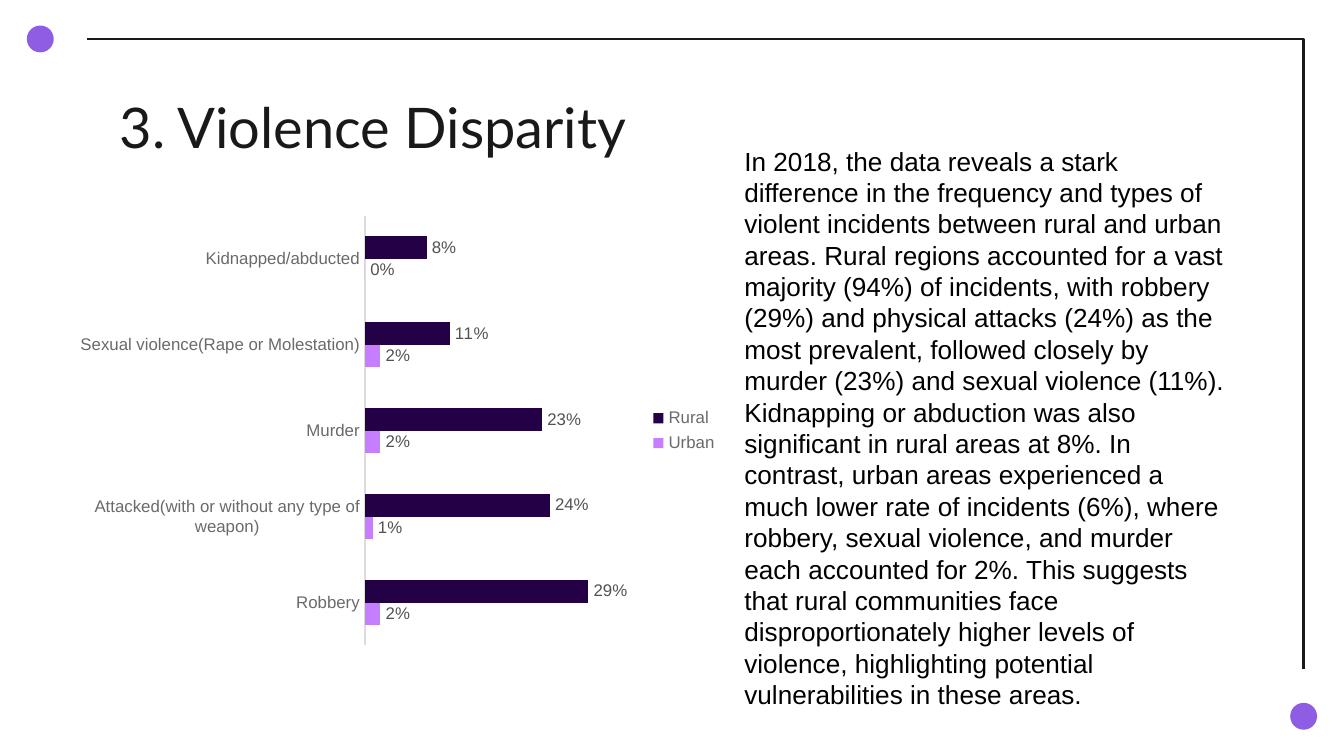
from pptx import Presentation
from pptx.chart.data import CategoryChartData
from pptx.dml.color import RGBColor
from pptx.enum.chart import XL_CHART_TYPE, XL_LABEL_POSITION, XL_LEGEND_POSITION, XL_TICK_LABEL_POSITION, XL_TICK_MARK
from pptx.enum.shapes import MSO_SHAPE
from pptx.enum.text import MSO_ANCHOR, PP_ALIGN
from pptx.util import Inches, Pt

BAR = XL_CHART_TYPE.BAR_CLUSTERED
OUTSIDE_END = XL_LABEL_POSITION.OUTSIDE_END
LEGEND_RIGHT = XL_LEGEND_POSITION.RIGHT
NEXT_TO_AXIS = XL_TICK_LABEL_POSITION.NEXT_TO_AXIS
NO_TICK = XL_TICK_MARK.NONE
OVAL = MSO_SHAPE.OVAL
TOP = MSO_ANCHOR.TOP
LEFT = PP_ALIGN.LEFT

COLORS = {
    "ink": "191919", "dot": "8F5DE4", "body": "000000", "axis": "DCDCDC",
    "axis_text": "6A6A6A", "label": "525252", "Urban": "C77DFF", "Rural": "240046",
}
CATEGORIES = ["Robbery", "Attacked(with or without any type of weapon)", "Murder",
              "Sexual violence(Rape or Molestation)", "Kidnapped/abducted"]
SHARES = {
    "Urban": [0.02, 0.01, 0.02, 0.02, 0],
    "Rural": [0.29, 0.24, 0.23, 0.11, 0.08],
}
BODY = (
    "In 2018, the data reveals a stark difference in the frequency and types of violent "
    "incidents between rural and urban areas. Rural regions accounted for a vast majority "
    "(94%) of incidents, with robbery (29%) and physical attacks (24%) as the most prevalent, "
    "followed closely by murder (23%) and sexual violence (11%). Kidnapping or abduction was "
    "also significant in rural areas at 8%. In contrast, urban areas experienced a much lower "
    "rate of incidents (6%), where robbery, sexual violence, and murder each accounted for 2%. "
    "This suggests that rural communities face disproportionately higher levels of violence, "
    "highlighting potential vulnerabilities in these areas."
)


def rgb(name):
    return RGBColor.from_string(COLORS[name])


def style_font(font, size, color, name="Arial"):
    font.size = Pt(size)
    font.name = name
    font.bold = False
    font.color.rgb = rgb(color)


def add_frame(s, x, y, w, h):
    """Corner rule along the top and right, with a dot beyond each end."""
    right, bottom = x + w, y + h
    path = s.shapes.build_freeform(Inches(x), Inches(y))
    path.add_line_segments([(Inches(right), Inches(y)), (Inches(right), Inches(bottom))],
                           close=False)
    rule = path.convert_to_shape()
    rule.shadow.inherit = False
    rule.fill.background()
    rule.line.color.rgb = rgb("ink")
    rule.line.width = Pt(1.5)
    size = 0.2
    for cx, cy in ((x - 0.35, y), (right, bottom + 0.35)):
        dot = s.shapes.add_shape(OVAL, Inches(cx - size / 2), Inches(cy - size / 2),
                                 Inches(size), Inches(size))
        dot.shadow.inherit = False
        dot.fill.solid()
        dot.fill.fore_color.rgb = rgb("dot")
        dot.line.fill.background()


def set_title(s, x, y, w, h, text):
    sp = s.shapes.title
    sp.left, sp.top, sp.width, sp.height = map(Inches, (x, y, w, h))
    tf = sp.text_frame
    tf.vertical_anchor = TOP
    tf.margin_left = tf.margin_right = tf.margin_top = tf.margin_bottom = Inches(0.1)
    p = tf.paragraphs[0]
    p.alignment = LEFT
    r = p.add_run()
    r.text = text
    style_font(r.font, 30, "ink", "Lato")


def add_share_chart(s, x, y, w, h):
    data = CategoryChartData(number_format="0%")
    data.categories = CATEGORIES
    for name, values in SHARES.items():
        data.add_series(name, values)
    chart = s.shapes.add_chart(BAR, Inches(x), Inches(y), Inches(w), Inches(h), data).chart
    style_font(chart.font, 10, "ink")
    chart.has_title = False
    chart.has_legend = True
    chart.legend.position = LEGEND_RIGHT
    chart.legend.include_in_layout = False
    style_font(chart.legend.font, 9, "axis_text")

    axis = chart.category_axis
    axis.major_tick_mark = axis.minor_tick_mark = NO_TICK
    axis.tick_label_position = NEXT_TO_AXIS
    axis.format.line.color.rgb = rgb("axis")
    axis.format.line.width = Pt(0.75)
    style_font(axis.tick_labels.font, 9, "axis_text")
    value_axis = chart.value_axis
    value_axis.visible = False
    value_axis.has_major_gridlines = False
    value_axis.major_tick_mark = value_axis.minor_tick_mark = NO_TICK
    value_axis.minimum_scale, value_axis.maximum_scale = 0, 0.35

    plot = chart.plots[0]
    plot.gap_width = 182
    plot.overlap = 0
    plot.vary_by_categories = False
    for series in plot.series:
        series.format.fill.solid()
        series.format.fill.fore_color.rgb = rgb(series.name)
        labels = series.data_labels
        labels.show_value = True
        labels.position = OUTSIDE_END
        labels.number_format = "0%"
        labels.number_format_is_linked = False
        style_font(labels.font, 9, "label")


def add_body(s, x, y, w, h, text):
    tf = s.shapes.add_textbox(Inches(x), Inches(y), Inches(w), Inches(h)).text_frame
    tf.word_wrap = True
    p = tf.paragraphs[0]
    p.line_spacing = Pt(16.8)
    r = p.add_run()
    r.text = text
    style_font(r.font, 14, "body")


def main():
    prs = Presentation()
    prs.slide_width = Inches(10)
    prs.slide_height = prs.slide_width * 9 // 16
    s = prs.slides.add_slide(prs.slide_layouts[5])
    add_frame(s, 0.65, 0.29, 9.05, 4.69)
    set_title(s, 0.79, 0.59, 8.43, 0.63, "3. Violence Disparity")
    add_share_chart(s, 0.5, 1.54, 4.94, 3.33)
    add_body(s, 5.44, 1.03, 3.77, 4.34, BODY)
    prs.save("out.pptx")


if __name__ == "__main__":
    main()
